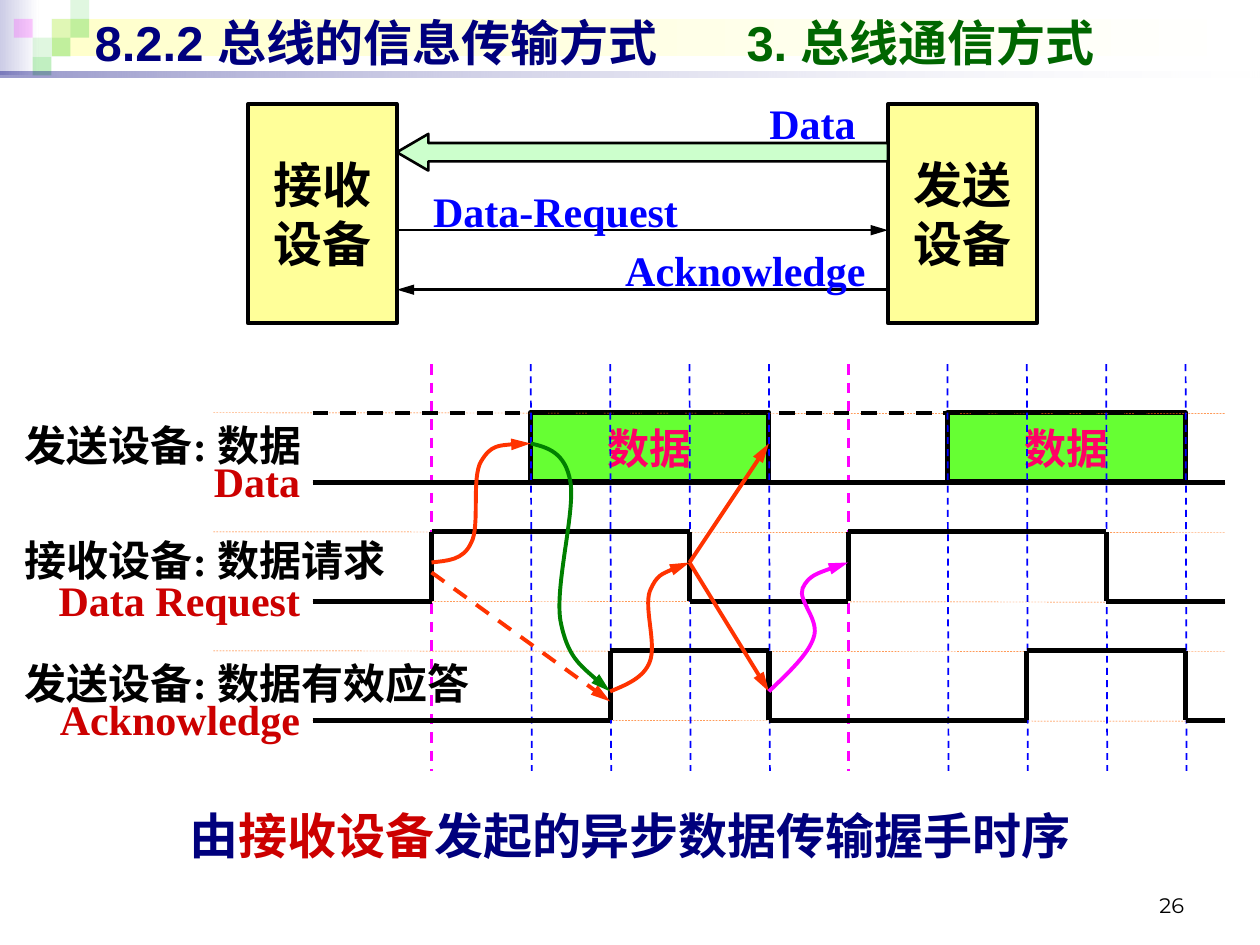
from lxml import etree
from pptx import Presentation
from pptx.dml.color import RGBColor
from pptx.enum.dml import MSO_LINE
from pptx.enum.shapes import MSO_CONNECTOR, MSO_SHAPE
from pptx.enum.text import MSO_ANCHOR, PP_ALIGN
from pptx.oxml.ns import qn
from pptx.util import Inches, Mm, Pt

RECTANGLE, LEFT_ARROW = MSO_SHAPE.RECTANGLE, MSO_SHAPE.LEFT_ARROW
STRAIGHT, DASH = MSO_CONNECTOR.STRAIGHT, MSO_LINE.DASH
LEFT, CENTER, RIGHT = PP_ALIGN.LEFT, PP_ALIGN.CENTER, PP_ALIGN.RIGHT
TOP, MIDDLE, BOTTOM = MSO_ANCHOR.TOP, MSO_ANCHOR.MIDDLE, MSO_ANCHOR.BOTTOM
SERIF, SANS, NUMERAL = "Times New Roman", "Arial", "Montserrat"
UNIT = Mm(2)
COLORS = {
    "black": "000000", "white": "FFFFFF", "navy": "00007D", "lavender": "CCCCE6",
    "cream": "FFFFCC", "leaf": "33CC33", "magenta": "FF00FF", "green": "006600",
    "curve green": "008000", "lime": "66FF33", "pink": "FF0066", "orange": "FF6600",
    "vermilion": "FF3300", "red": "CC0000", "blue": "0000FF", "yellow": "FFFF99",
    "mint": "CCFFCC",
}
RGB = {name: RGBColor.from_string(value) for name, value in COLORS.items()}


def write_text(shape, paragraphs, size=24, font=SERIF, bold=True, align=LEFT,
               anchor=TOP, wrap=True, inset=0.1, tab=None):
    frame = shape.text_frame
    frame.word_wrap = wrap
    frame.vertical_anchor = anchor
    frame.margin_left = Inches(inset)
    for index, runs in enumerate(paragraphs):
        paragraph = frame.add_paragraph() if index else frame.paragraphs[0]
        paragraph.alignment = align
        if tab:
            tabs = etree.SubElement(paragraph._p.get_or_add_pPr(), qn("a:tabLst"))
            etree.SubElement(tabs, qn("a:tab"), pos=str(int(tab * UNIT)), algn="l")
        for text, color in runs:
            run = paragraph.add_run()
            run.text = text
            run.font.size = Pt(size)
            run.font.name = font
            run.font.bold = bold
            run.font.color.rgb = RGB[color]


def style_line(shape, color, width, dashed=False, arrow=False):
    shape.line.width = Pt(width)
    shape.line.fill.solid()
    shape.line.fill.fore_color.rgb = RGB[color]
    if dashed:
        shape.line.dash_style = DASH
    properties = shape._element.spPr
    if arrow:
        etree.SubElement(properties.find(qn("a:ln")), qn("a:tailEnd"), type="triangle", len="lg")
    etree.SubElement(properties, qn("a:effectLst"))


presentation = Presentation()
presentation.slide_width, presentation.slide_height = Inches(10), Inches(7.5)
slide = presentation.slides.add_slide(presentation.slide_layouts[6])
shapes = slide.shapes

tiles = [(2, 1, "leaf", 15), (3, 0, "leaf", 15), (3, 1, "leaf", 30), (1, 2, "leaf", 15),
         (0, 1, "magenta", 20), (2, 2, "leaf", 30), (1, 3, "leaf", 30)]
TILE = 1.9
decorations = [
    (0, 0, 3.9, 7.6, [("lavender", 100), ("white", 100)]),
    (5.2, TILE, 121.3, 2 * TILE, [("cream", 100), ("white", 100)]),
]
decorations += [(1.4 + TILE * column, TILE * row, TILE, TILE, [(color, opacity)])
                for column, row, color, opacity in tiles]
decorations.append((0, 7.2, 127, 0.6, [("navy", 40), ("white", 10)]))
for *box, stops in decorations:
    shape = shapes.add_shape(RECTANGLE, *[int(length * UNIT) for length in box])
    shape.shadow.inherit = False
    shape.line.fill.background()
    if len(stops) == 1:
        shape.fill.solid()
        targets = [shape.fill.fore_color]
    else:
        shape.fill.gradient()
        shape.fill.gradient_angle = 0
        targets = [stop.color for stop in shape.fill.gradient_stops]
    for target, (color, opacity) in zip(targets, stops):
        target.rgb = RGB[color]
    for element, (color, opacity) in zip(shape._element.spPr.iter(qn("a:srgbClr")), stops):
        if opacity < 100:
            etree.SubElement(element, qn("a:alpha"), val=str(opacity * 1000))

START, END = 31.5, 123.5
TILT = 0.1
DATA_HIGH, DATA_LOW = 41.6, 48.6
REQUEST_HIGH, REQUEST_LOW = 53.6, 60.6
ACK_HIGH, ACK_LOW = 65.6, 72.6
CYCLES = (43.5, 85.5)
STEPS = (10, 18, 26, 34)
DATA_MIDDLE, REQUEST_MIDDLE, ACK_MIDDLE = 44.7, 56.7, 69.7

data_format = dict(size=24, font=SANS)
blocks = [(cycle + 10, DATA_HIGH, 24, 7, "lime", 3, [[("数据", "pink")]], data_format)
          for cycle in CYCLES]
blocks += [(column, 10.5, 15, 22.1, "yellow", 2.25,
            [[(name, "black")], [("设备", "black")]], dict(size=28))
           for column, name in ((25, "接收"), (89.5, "发送"))]
for *box, color, border, paragraphs, text_format in blocks:
    shape = shapes.add_shape(RECTANGLE, *[int(length * UNIT) for length in box])
    shape.fill.solid()
    shape.fill.fore_color.rgb = RGB[color]
    style_line(shape, "black", border)
    write_text(shape, paragraphs, align=CENTER, anchor=MIDDLE, wrap=False, **text_format)

data_bus = shapes.add_shape(LEFT_ARROW, *[int(length * UNIT) for length in (40, 13.5, 49.5, 3.7)])
data_bus.adjustments[0], data_bus.adjustments[1] = 0.5, 0.86
data_bus.fill.solid()
data_bus.fill.fore_color.rgb = RGB["mint"]
style_line(data_bus, "black", 1.5)

lines = []
for high, low in ((DATA_HIGH, DATA_LOW), (REQUEST_HIGH, REQUEST_LOW), (ACK_HIGH, ACK_LOW)):
    lines += [(left, row, END, row + TILT, "orange", 0.25, True)
              for left, row in ((21.5, high), (START, low))]
lines.append((START, DATA_HIGH, 115.5, DATA_HIGH, "black", 2.25, True))
for cycle in CYCLES:
    lines.append((cycle, 36.7, cycle, 77.7, "magenta", 1.5, True))
    lines += [(cycle + step, 36.7, cycle + step + TILT, 77.7, "blue", 1, True) for step in STEPS]
lines.append((START, DATA_LOW, END, DATA_LOW, "black", 3))
for high, low, rise, fall in ((REQUEST_HIGH, REQUEST_LOW, 0, 26), (ACK_HIGH, ACK_LOW, 18, 34)):
    wave = [(START, low)]
    for cycle in CYCLES:
        wave += [(cycle + rise, low), (cycle + rise, high),
                 (cycle + fall, high), (cycle + fall, low)]
    wave.append((END, low))
    lines += [(*begin, *end, "black", 3) for begin, end in zip(wave, wave[1:])]
lines += [
    (69.5, REQUEST_MIDDLE, 77.5, ACK_MIDDLE, "vermilion", 2.25, False, True),
    (69.5, REQUEST_MIDDLE, 77.5, DATA_MIDDLE, "vermilion", 2.25, False, True),
    (43.5, 57.7, 61.5, 70.7, "vermilion", 2.25, True, True),
    (40, 23.2, 89.5, 23.2, "black", 1.5, False, True),
    (89.5, 29.2, 40, 29.2, "black", 1.5, False, True),
]
for x1, y1, x2, y2, *line_format in lines:
    connector = shapes.add_connector(STRAIGHT, *[int(length * UNIT) for length in (x1, y1, x2, y2)])
    style_line(connector, *line_format)

curves = [
    ("vermilion", [(43.5, REQUEST_MIDDLE), (45.1, 56.5), (46.7, 56.5), (47.5, 54.7), (48.4, 53.1),
                   (47.5, 48.1), (48.5, 46.5), (49.5, 44.8), (51.6, 44.7), (53.5, DATA_MIDDLE)]),
    ("curve green", [(53.5, DATA_MIDDLE), (55.2, 45.1), (57, 45.6), (57.5, 48.6), (58, 51.6),
                     (55.9, 59.1), (56.5, 62.6), (57.2, 66.2), (59.3, 67.8), (61.5, ACK_MIDDLE)]),
    ("vermilion", [(61.5, ACK_MIDDLE), (63.2, 69), (64.9, 68.3), (65.5, 66.7), (66.2, 64.9),
                   (64.9, 61.3), (65.5, 59.6), (66.2, 57.9), (67.8, 57.3), (69.5, REQUEST_MIDDLE)]),
    ("magenta", [(77.5, ACK_MIDDLE), (79.5, 67.8), (81.5, 65.9), (82, 64.3), (82.7, 62.5),
                 (80.4, 60.6), (80.9, 59.3), (81.5, 58), (83.6, 57.3), (85.5, REQUEST_MIDDLE)]),
]
for color, points in curves:
    points = [(int(x * UNIT), int(y * UNIT)) for x, y in points]
    builder = shapes.build_freeform(*points[0])
    builder.add_line_segments(points[1:], close=False)
    curve = builder.convert_to_shape()
    segments = list(curve._element.spPr.iter(qn("a:lnTo")))
    for first, second, third in zip(segments[::3], segments[1::3], segments[2::3]):
        bezier = etree.SubElement(first.getparent(), qn("a:cubicBezTo"))
        for segment in (first, second, third):
            bezier.append(segment[0])
            segment.getparent().remove(segment)
    curve.fill.background()
    style_line(curve, color, 2.25, arrow=True)

texts = [
    (91, 86.7, 29.6, 6.4, [("26", "black")],
     dict(size=12, font=NUMERAL, bold=False, align=RIGHT, anchor=BOTTOM)),
    (8.3, 0.6, 114.3, 7.2, [("8.2.2 总线的信息传输方式\t", "navy"), ("3. 总线通信方式", "green")],
     dict(size=28, font=SANS, anchor=MIDDLE, tab=65.7)),
    (14.5, 80.6, 98, 7.2, [("由", "navy"), ("接收设备", "red"), ("发起的异步数据传输握手时序", "navy")],
     dict(size=28, align=CENTER)),
]
texts += [(2.5, row, width, 6.4, [(label, "black")], dict(inset=0))
          for row, width, label in ((41.7, 37, "发送设备: 数据"), (53.3, 46, "接收设备: 数据请求"),
                                    (65.7, 52, "发送设备: 数据有效应答"))]
texts += [(3.6, row, 27.9, 6.4, [(label, "red")], dict(align=RIGHT))
          for row, label in ((45.3, "Data"), (57.3, "Data Request"), (69.3, "Acknowledge"))]
texts += [(column, row, width, 6.4, [(label, "blue")], dict(align=RIGHT, wrap=False))
          for column, row, width, label in ((76.2, 9.2, 11.3, "Data"), (42, 18.1, 27.6, "Data-Request"),
                                            (61.5, 24, 27, "Acknowledge"))]
for *box, runs, text_format in texts:
    text_box = shapes.add_textbox(*[int(length * UNIT) for length in box])
    write_text(text_box, [runs], **text_format)

presentation.save("out.pptx")
